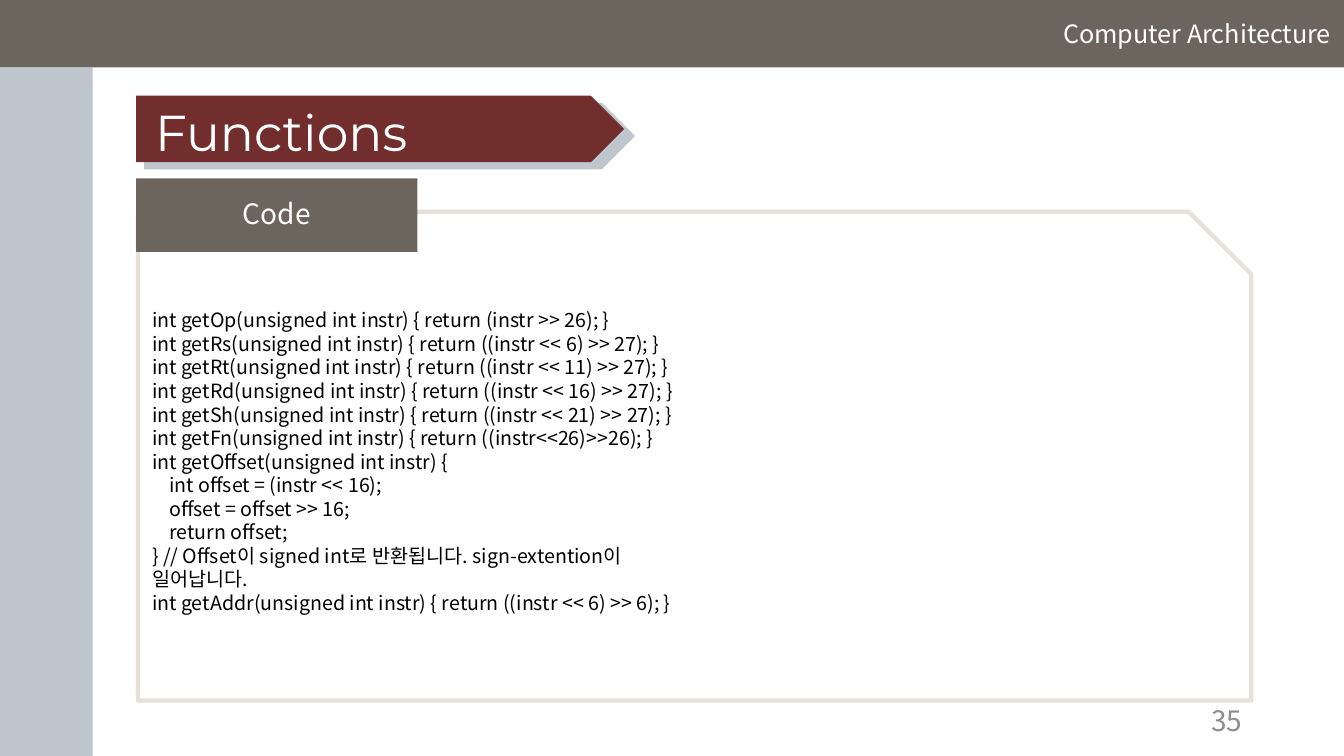
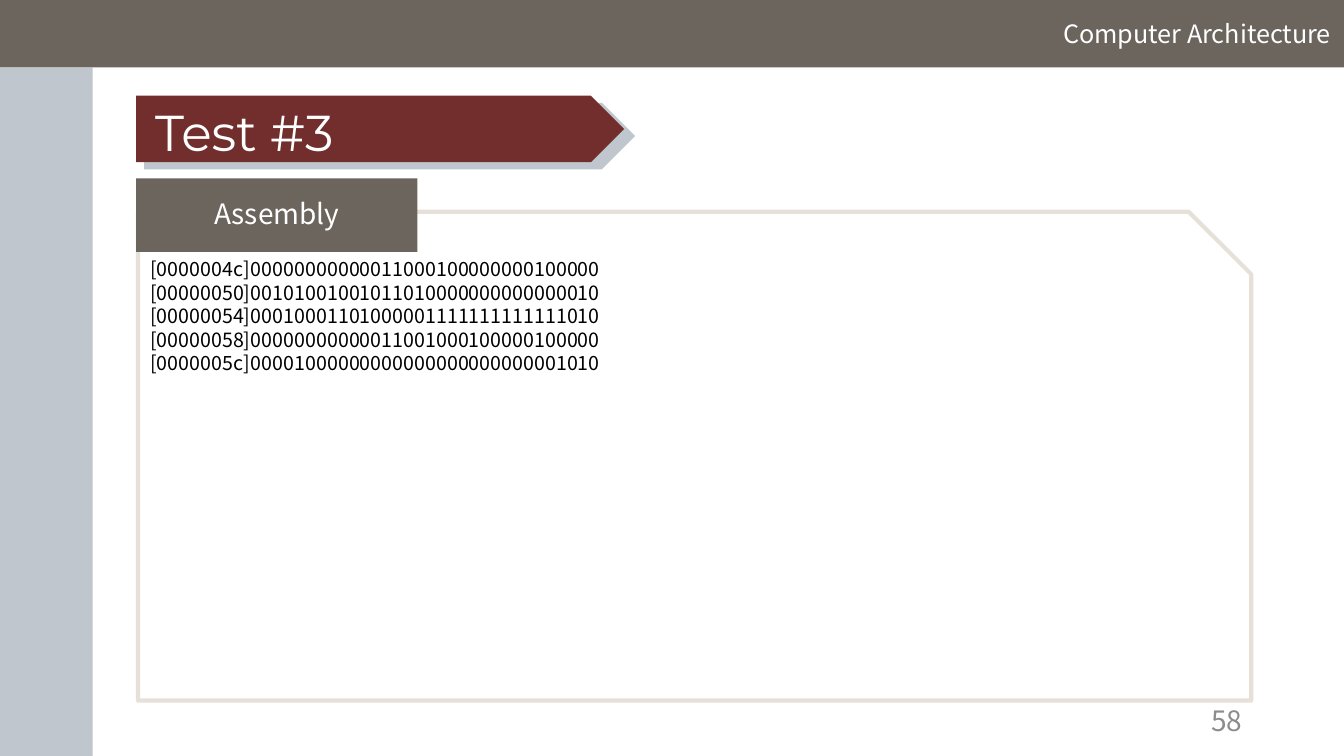
import pptx
import pptx.dml.color
import pptx.enum.shapes
import pptx.enum.text
import pptx.oxml.ns
import pptx.util
from lxml import etree

Inches = pptx.util.Inches
RGBColor = pptx.dml.color.RGBColor
SHAPE = pptx.enum.shapes.MSO_SHAPE
ALIGN = pptx.enum.text.PP_ALIGN
ANCHOR = pptx.enum.text.MSO_ANCHOR
AUTO_SIZE = pptx.enum.text.MSO_AUTO_SIZE

# Content: a line is its indent level and its text
PAGES = [
    {
        "title": "Functions", "label": "Code", "number": "35",
        "body_at": (1.41, 3.01, 10.91, 3.16), "columns": 2,
        "lines": [
            (0, "int getOp(unsigned int instr) { return (instr >> 26); }"),
            (0, "int getRs(unsigned int instr) { return ((instr << 6) >> 27); }"),
            (0, "int getRt(unsigned int instr) { return ((instr << 11) >> 27); }"),
            (0, "int getRd(unsigned int instr) { return ((instr << 16) >> 27); }"),
            (0, "int getSh(unsigned int instr) { return ((instr << 21) >> 27); }"),
            (0, "int getFn(unsigned int instr) { return ((instr<<26)>>26); }"),
            (0, "int getOffset(unsigned int instr) {"),
            (1, "int offset = (instr << 16);"),
            (1, "offset = offset >> 16;"),
            (1, "return offset;"),
            (0, "} // Offset이 signed int로 반환됩니다. sign-extention이 일어납니다."),
            (0, "int getAddr(unsigned int instr) { return ((instr << 6) >> 6); }"),
        ],
    },
    {
        "title": "Test #3", "label": "Assembly", "number": "58",
        "body_at": (1.39, 2.5, 10.79, 1.28), "columns": 1,
        "lines": [
            (0, "[0000004c]\t00000000000011000100000000100000"),
            (0, "[00000050]\t00101001001011010000000000000010"),
            (0, "[00000054]\t00010001101000001111111111111010"),
            (0, "[00000058]\t00000000000011001000100000100000"),
            (0, "[0000005c]\t00001000000000000000000000001010"),
        ],
    },
]
COURSE = "Computer Architecture"

# Shared style
TITLE_FONT = "Montserrat"
TEXT_FONT = "Noto Sans CJK KR"
WHITE = RGBColor(0xFF, 0xFF, 0xFF)
BLACK = RGBColor(0x00, 0x00, 0x00)
GRAY = RGBColor(0x8C, 0x8C, 0x8C)
TAUPE = RGBColor(0x6C, 0x65, 0x5D)
BLUE_GRAY = RGBColor(0xBF, 0xC6, 0xCE)
MAROON = RGBColor(0x72, 0x2E, 0x2C)
BEIGE = RGBColor(0xE7, 0xE0, 0xD9)
WIDTH, HEIGHT = 13.33, 7.5
HEADER_HEIGHT, SIDE_WIDTH = 0.67, 0.92
INDENT = 0.17


def add_block(page, kind, at, fill=None, line=None):
    block = page.shapes.add_shape(kind, *map(Inches, at))
    block.shadow.inherit = False
    if fill is None:
        block.fill.background()
    else:
        block.fill.solid()
        block.fill.fore_color.rgb = fill
    if line is None:
        block.line.fill.background()
    else:
        block.line.color.rgb = line
        block.line.width = pptx.util.Pt(3)
    return block


def add_text(page, at, lines, size, color, font=TEXT_FONT, align=ALIGN.LEFT,
             anchor=ANCHOR.TOP, grow=True):
    box = page.shapes.add_textbox(*map(Inches, at))
    frame = box.text_frame
    frame.word_wrap = True
    frame.vertical_anchor = anchor
    if grow:
        frame.auto_size = AUTO_SIZE.SHAPE_TO_FIT_TEXT
    for index, (level, text) in enumerate(lines):
        para = frame.paragraphs[0] if index == 0 else frame.add_paragraph()
        para.text = text
        para.alignment = align
        para.font.size = pptx.util.Pt(size)
        para.font.name = font
        para.font.color.rgb = color
        # Korean text takes the East Asian font
        properties = para._p.get_or_add_pPr()
        default = properties.find(pptx.oxml.ns.qn("a:defRPr"))
        etree.SubElement(default, pptx.oxml.ns.qn("a:ea"), typeface=font)
        if level:
            properties.set("marL", str(Inches(INDENT * level)))
    return box


def add_frame(page, title, label, number):
    # Title arrow and its offset shade
    add_block(page, SHAPE.PENTAGON, (1.43, 1.02, 4.87, 0.66), BLUE_GRAY)
    add_block(page, SHAPE.PENTAGON, (1.35, 0.95, 4.84, 0.66), MAROON)
    add_text(page, (1.44, 0.95, 4.86, 0.71), [(0, title)], 36, WHITE, TITLE_FONT)

    # Side band, page number and header band
    add_block(page, SHAPE.RECTANGLE,
              (0, HEADER_HEIGHT, SIDE_WIDTH, HEIGHT - HEADER_HEIGHT), BLUE_GRAY)
    add_text(page, (9.42, 6.95, 3, 0.4), [(0, number)], 20, GRAY,
             align=ALIGN.RIGHT, anchor=ANCHOR.MIDDLE, grow=False)
    add_block(page, SHAPE.RECTANGLE, (0, 0, WIDTH, HEADER_HEIGHT), TAUPE)
    add_text(page, (10.43, 0.13, 2.87, 0.4), [(0, COURSE)], 18, WHITE,
             align=ALIGN.RIGHT)

    # Content outline with its label
    outline = add_block(page, SHAPE.SNIP_1_RECTANGLE, (1.37, 2.1, 11.04, 4.85),
                        line=BEIGE)
    outline.adjustments[0] = 0.128
    add_block(page, SHAPE.RECTANGLE, (1.35, 1.77, 2.79, 0.73), TAUPE)
    add_text(page, (1.37, 1.9, 2.75, 0.44), [(0, label)], 20, WHITE,
             align=ALIGN.CENTER)


def main():
    deck = pptx.Presentation()
    deck.slide_width, deck.slide_height = Inches(WIDTH), Inches(HEIGHT)
    for content in PAGES:
        page = deck.slides.add_slide(deck.slide_layouts[6])
        add_frame(page, content["title"], content["label"], content["number"])
        body = add_text(page, content["body_at"], content["lines"], 14, BLACK)
        if content["columns"] > 1:
            body.text_frame._txBody.bodyPr.set("numCol", str(content["columns"]))
    deck.save("out.pptx")


if __name__ == "__main__":
    main()
